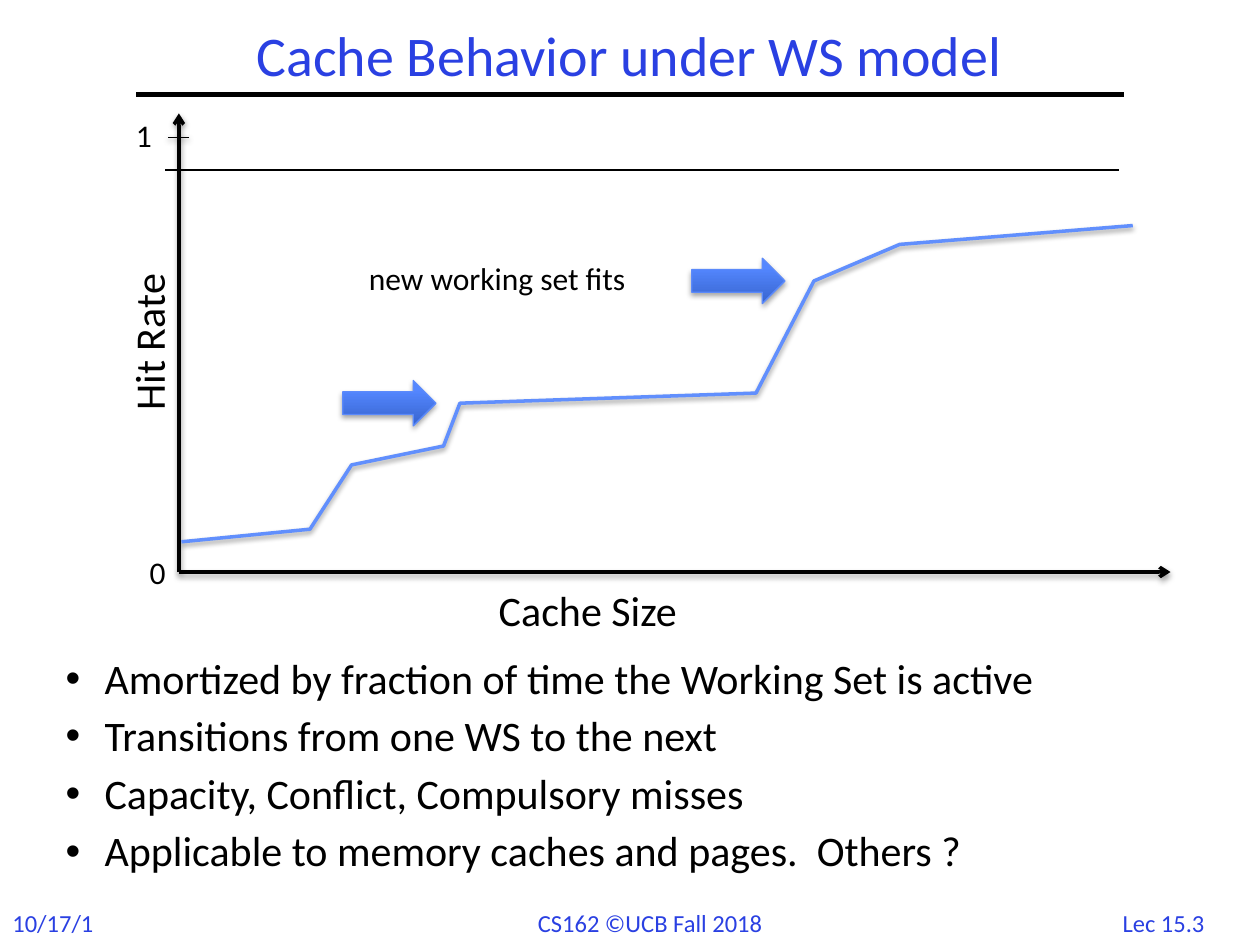
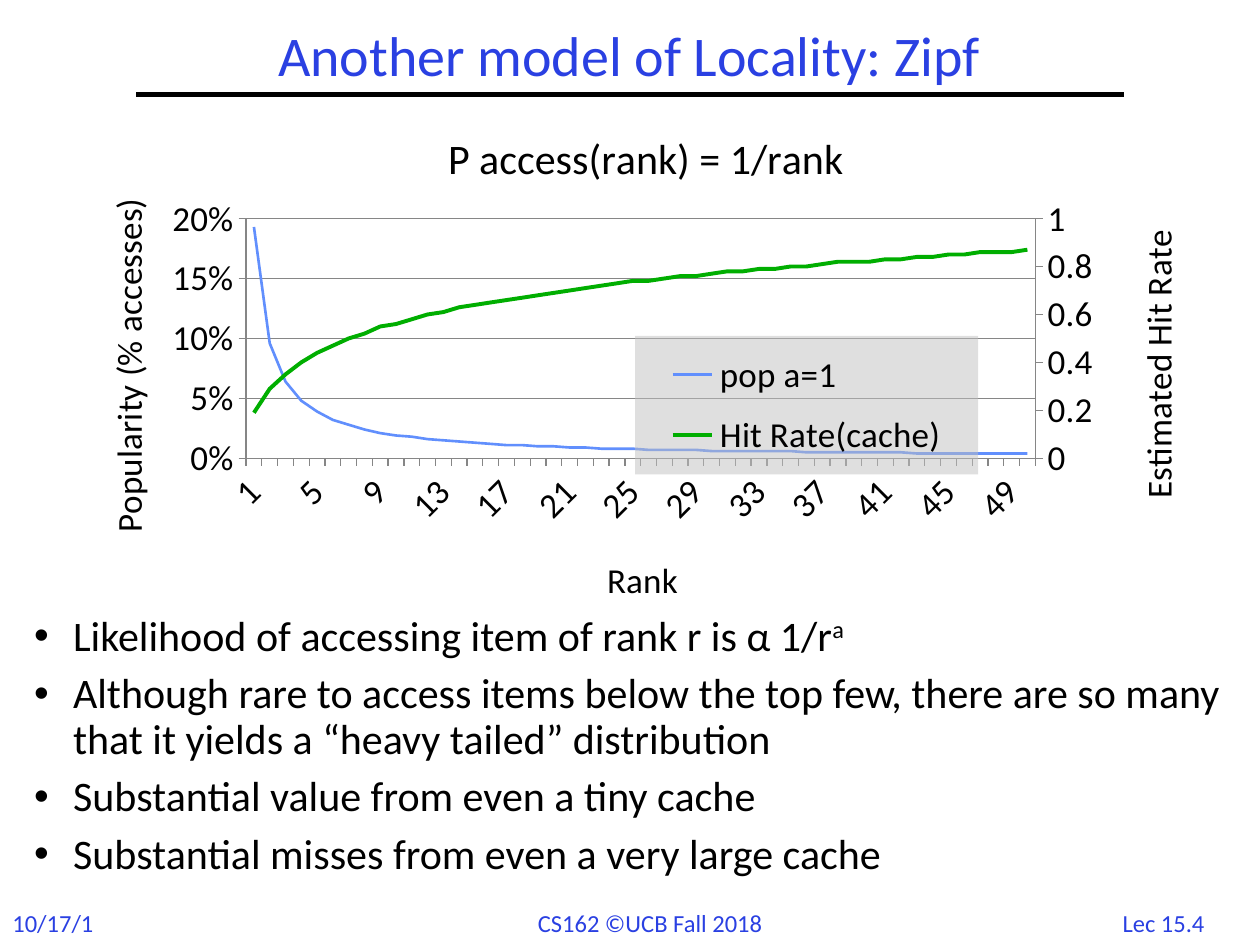
from copy import deepcopy
from itertools import accumulate

from lxml import etree
from pptx import Presentation
from pptx.chart.axis import ValueAxis
from pptx.chart.data import CategoryChartData
from pptx.dml.color import RGBColor
from pptx.enum.chart import XL_CHART_TYPE, XL_LEGEND_POSITION, XL_TICK_MARK
from pptx.enum.shapes import MSO_CONNECTOR, MSO_SHAPE
from pptx.enum.text import MSO_ANCHOR, MSO_AUTO_SIZE, PP_ALIGN
from pptx.oxml.ns import qn
from pptx.util import Pt

LINE_CHART = XL_CHART_TYPE.LINE
RIGHT_LEGEND = XL_LEGEND_POSITION.RIGHT
TICK_OUT, TICK_NONE = XL_TICK_MARK.OUTSIDE, XL_TICK_MARK.NONE
STRAIGHT = MSO_CONNECTOR.STRAIGHT
RIGHT_ARROW = MSO_SHAPE.RIGHT_ARROW
TOP, MIDDLE = MSO_ANCHOR.TOP, MSO_ANCHOR.MIDDLE
NO_FIT = MSO_AUTO_SIZE.NONE
LEFT, CENTER = PP_ALIGN.LEFT, PP_ALIGN.CENTER

PX = 9144
FONT = "Calibri"
BLACK, TITLE_BLUE, CURVE_BLUE = "000000", "2A40E2", "618FFD"
GREEN, GRID_GREY, LEGEND_GREY = "00AE00", "868686", "C0C0C0"

CURVE = [(144, 430), (246, 420), (279, 369), (352, 354), (365, 320),
         (600, 312), (646, 223), (714, 194), (899, 179)]
RANKS = range(1, 51)
TOP_SHARE = 0.1928


def color(value):
    return RGBColor.from_string(value)


def px(*values):
    return [v * PX for v in values]


def apply(obj, fmt):
    for name, value in fmt.items():
        setattr(obj, name, value)


def set_font(font, size, ink=BLACK):
    apply(font, {"name": FONT, "size": Pt(size), "bold": False})
    font.color.rgb = color(ink)


def add_run(p, text, size, ink=BLACK):
    r = p.add_run()
    r.text = text
    set_font(r.font, size, ink)
    return r


def set_line(line, ink, width):
    line.color.rgb = color(ink)
    line.width = Pt(width)


def set_shadow(sp, alpha=0, dist=1.6):
    props = sp._element.spPr
    for old in props.findall(qn("a:effectLst")):
        props.remove(old)
    effects = etree.SubElement(props, qn("a:effectLst"))
    if alpha:
        outer = etree.SubElement(effects, qn("a:outerShdw"), blurRad=str(Pt(3.1)),
                                 dist=str(Pt(dist)), dir="5400000", rotWithShape="0")
        ink = etree.SubElement(outer, qn("a:srgbClr"), val=BLACK)
        etree.SubElement(ink, qn("a:alpha"), val=str(alpha * 1000))


def add_line(s, start, end, width, arrow=False, shadow=38):
    sp = s.shapes.add_connector(STRAIGHT, *px(*start, *end))
    set_line(sp.line, BLACK, width)
    if arrow:
        etree.SubElement(sp.line._ln, qn("a:tailEnd"), type="arrow")
    set_shadow(sp, shadow)


def add_label(s, text, box, size, ink=BLACK, align=LEFT, wrap=False, rotation=0):
    sp = s.shapes.add_textbox(*px(*box))
    sp.rotation = rotation
    tf = sp.text_frame
    apply(tf, {"word_wrap": wrap, "auto_size": NO_FIT})
    p = tf.paragraphs[0]
    p.alignment = align
    add_run(p, text, size, ink)


def place(sp, box, anchor):
    apply(sp, dict(zip(("left", "top", "width", "height"), px(*box))))
    apply(sp.text_frame, {"vertical_anchor": anchor, "word_wrap": True, "auto_size": NO_FIT})


def add_slide(prs, title, number):
    s = prs.slides.add_slide(prs.slide_layouts[1])
    place(s.shapes.title, (108, 17, 783, 58), MIDDLE)
    p = s.shapes.title.text_frame.paragraphs[0]
    apply(p, {"alignment": CENTER, "line_spacing": 0.9})
    add_run(p, title, 32, TITLE_BLUE)
    add_line(s, (108, 75), (892, 75), 3, shadow=0)
    add_label(s, "10/17/18", (0, 716, 90, 34), 14, TITLE_BLUE, wrap=True)
    add_label(s, "CS162 ©UCB Fall 2018", (417, 716, 208, 34), 14, TITLE_BLUE)
    add_label(s, f"Lec 15.{number}", (872, 716, 103, 33), 14, TITLE_BLUE, CENTER)
    return s


def add_bullets(s, box, items):
    body = s.placeholders[1]
    place(body, box, TOP)
    tf = body.text_frame
    for i, item in enumerate(items):
        p = tf.add_paragraph() if i else tf.paragraphs[0]
        pPr = p._p.get_or_add_pPr()
        pPr.set("marL", str(31 * PX))
        pPr.set("indent", str(-31 * PX))
        etree.SubElement(pPr, qn("a:buFont"), typeface="Arial")
        etree.SubElement(pPr, qn("a:buChar"), char="•")
        apply(p, {"line_spacing": 0.9, "space_before": Pt(7 if i else 0)})
        text, *superscript = item.split("^")
        add_run(p, text, 24)
        for part in superscript:
            r = add_run(p, part, 24)
            r._r.get_or_add_rPr().set("baseline", "30000")


def add_curve(s, points):
    builder = s.shapes.build_freeform(*points[0], scale=PX)
    builder.add_line_segments(points[1:], close=False)
    sp = builder.convert_to_shape()
    sp.fill.background()
    set_line(sp.line, CURVE_BLUE, 2)
    set_shadow(sp, 38)


def add_block_arrow(s, left, top):
    sp = s.shapes.add_shape(RIGHT_ARROW, *px(left, top, 74, 36))
    sp.fill.gradient()
    sp.fill.gradient_angle = 90
    for stop, (pos, ink) in zip(sp.fill.gradient_stops, [(0, "3764CE"), (0.8, "5487FF")]):
        stop.position = pos
        stop.color.rgb = color(ink)
    set_line(sp.line, "5B8AFB", 0.75)
    set_shadow(sp, 35, 1.8)


def set_layout(element, inner=False, **fractions):
    for old in element.findall(qn("c:layout")):
        element.remove(old)
    layout = etree.Element(qn("c:layout"))
    manual = etree.SubElement(layout, qn("c:manualLayout"))
    if inner:
        etree.SubElement(manual, qn("c:layoutTarget"), val="inner")
    for side in ("x", "y"):
        etree.SubElement(manual, qn(f"c:{side}Mode"), val="edge")
    for side, value in fractions.items():
        etree.SubElement(manual, qn(f"c:{side}"), val=str(value))
    before = [c for c in element if c.tag in (qn("c:tx"), qn("c:legendPos"))]
    element.insert(len(before), layout)


def set_title(title, text, size, x, y, rotated=False):
    tf = title.text_frame
    add_run(tf.paragraphs[0], text, size)
    if rotated:
        body = tf._txBody.bodyPr
        body.set("rot", "-5400000")
        body.set("vert", "horz")
    set_layout(title._element, x=x, y=y)


def format_axis(axis, title, x, y, rotated=True):
    apply(axis, {"major_tick_mark": TICK_OUT, "minor_tick_mark": TICK_NONE})
    set_line(axis.format.line, GRID_GREY, 0.75)
    set_font(axis.tick_labels.font, 20)
    set_title(axis.axis_title, title, 20, x, y, rotated)


def format_scale(axis, top, step, number_format):
    apply(axis, {"minimum_scale": 0, "maximum_scale": top, "major_unit": step})
    apply(axis.tick_labels, {"number_format": number_format, "number_format_is_linked": False})


def split_to_right_axis(chart, rank_axis, share_axis):
    area = chart._chartSpace.chart.plotArea
    plot = area.find(qn("c:lineChart"))
    right_plot = deepcopy(plot)
    plot.remove(plot.findall(qn("c:ser"))[1])
    right_plot.remove(right_plot.find(qn("c:ser")))
    plot.addnext(right_plot)
    right_cat, right_val = deepcopy(rank_axis._element), deepcopy(share_axis._element)
    share_axis._element.addnext(right_val)
    right_val.addnext(right_cat)
    for axis, own, other in ((right_cat, "3001", "3002"), (right_val, "3002", "3001")):
        axis.find(qn("c:axId")).set("val", own)
        axis.find(qn("c:crossAx")).set("val", other)
    for ref, own in zip(right_plot.findall(qn("c:axId")), ("3001", "3002")):
        ref.set("val", own)
    right_cat.find(qn("c:delete")).set("val", "1")
    right_val.find(qn("c:axPos")).set("val", "r")
    right_val.find(qn("c:crosses")).set("val", "max")
    return ValueAxis(right_val)


def format_legend(chart):
    chart.has_legend = True
    legend = chart.legend
    apply(legend, {"position": RIGHT_LEGEND, "include_in_layout": True})
    set_font(legend.font, 20)
    set_layout(legend._element, x=0.5, y=0.46, w=0.3, h=0.26)
    props = etree.Element(qn("c:spPr"))
    fill = etree.SubElement(props, qn("a:solidFill"))
    ink = etree.SubElement(fill, qn("a:srgbClr"), val=LEGEND_GREY)
    etree.SubElement(ink, qn("a:alpha"), val="50000")
    legend._element.find(qn("c:txPr")).addprevious(props)


def add_zipf_chart(s, box):
    shares = [TOP_SHARE / rank for rank in RANKS]
    data = CategoryChartData()
    data.categories = [str(rank) for rank in RANKS]
    data.add_series("pop a=1", [round(v, 3) for v in shares])
    data.add_series("Hit Rate(cache)", [round(v, 2) for v in accumulate(shares)])
    chart = s.shapes.add_chart(LINE_CHART, *px(*box), data).chart
    set_font(chart.font, 20)
    rank_axis, share_axis = chart.category_axis, chart.value_axis
    hit_axis = split_to_right_axis(chart, rank_axis, share_axis)
    for plot, ink, width in zip(chart.plots, (CURVE_BLUE, GREEN), (1.5, 2.25)):
        plot.vary_by_categories = False
        plot.series[0].smooth = False
        set_line(plot.series[0].format.line, ink, width)

    set_title(chart.chart_title, "P access(rank) = 1/rank", 24, 0.33, 0.06)
    format_axis(rank_axis, "Rank", 0.47, 0.86, rotated=False)
    rank_axis._element.find(qn("c:txPr")).find(qn("a:bodyPr")).set("rot", "-2700000")
    format_axis(share_axis, "Popularity (% accesses)", 0.03, 0.19)
    format_scale(share_axis, 0.2, 0.05, "0%")
    set_line(share_axis.major_gridlines.format.line, GRID_GREY, 0.75)
    hit_axis.has_major_gridlines = False
    format_axis(hit_axis, "Estimated Hit Rate", 0.93, 0.25)
    format_scale(hit_axis, 1, 0.2, "General")
    set_layout(chart._chartSpace.chart.plotArea, inner=True, x=0.16, y=0.24, w=0.69, h=0.45)
    format_legend(chart)


def build_working_set(prs):
    s = add_slide(prs, "Cache Behavior under WS model", 3)
    add_bullets(s, (42, 517, 900, 166), [
        "Amortized by fraction of time the Working Set is active",
        "Transitions from one WS to the next",
        "Capacity, Conflict, Compulsory misses",
        "Applicable to memory caches and pages.  Others ?"])
    origin = (142, 454)
    for end in ((929, 454), (142, 90)):
        add_line(s, origin, end, 2, arrow=True)
    add_label(s, "Hit Rate", (50, 243, 135, 50), 24, rotation=270)
    add_label(s, "Cache Size", (386, 459, 168, 50), 24)
    add_curve(s, CURVE)
    add_label(s, "new working set fits", (283, 201, 226, 40), 18)
    for left, top in ((549, 205), (272, 302)):
        add_block_arrow(s, left, top)
    add_label(s, "0", (109, 434, 33, 40), 18)
    add_label(s, "1", (98, 87, 33, 40), 18)
    add_line(s, (888, 135), (131, 135), 0.75)
    add_line(s, (150, 109), (133, 109), 0.75)


def build_zipf(prs):
    s = add_slide(prs, "Another model of Locality: Zipf", 4)
    add_bullets(s, (17, 483, 992, 186), [
        "Likelihood of accessing item of rank r is α 1/r^a",
        "Although rare to access items below the top few, there are so many "
        "that it yields a “heavy tailed” distribution",
        "Substantial value from even a tiny cache",
        "Substantial misses from even a very large cache"])
    add_zipf_chart(s, (50, 72, 908, 423))


def main():
    prs = Presentation()
    prs.slide_width, prs.slide_height = px(1000, 750)
    build_working_set(prs)
    build_zipf(prs)
    prs.save("out.pptx")


if __name__ == "__main__":
    main()
